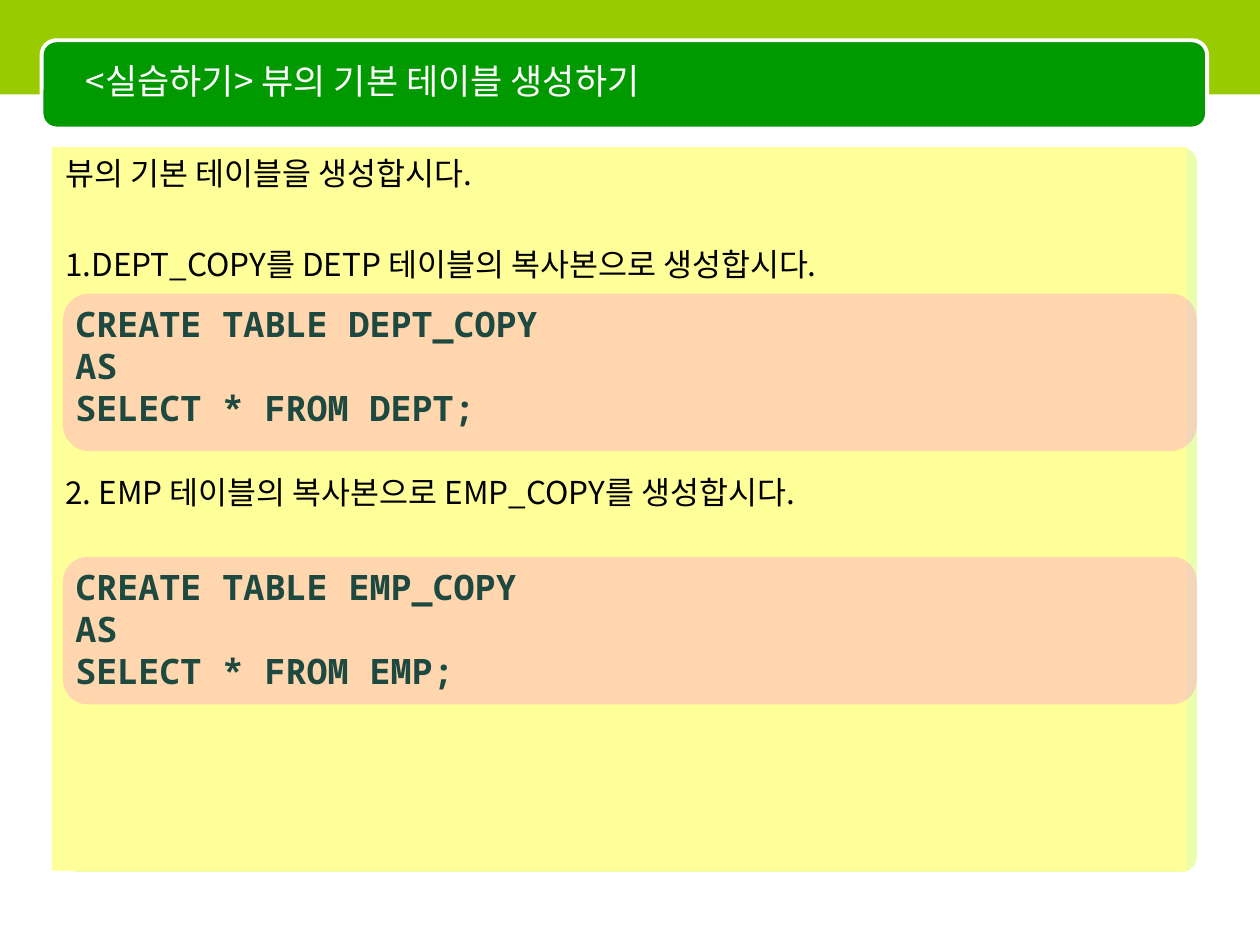
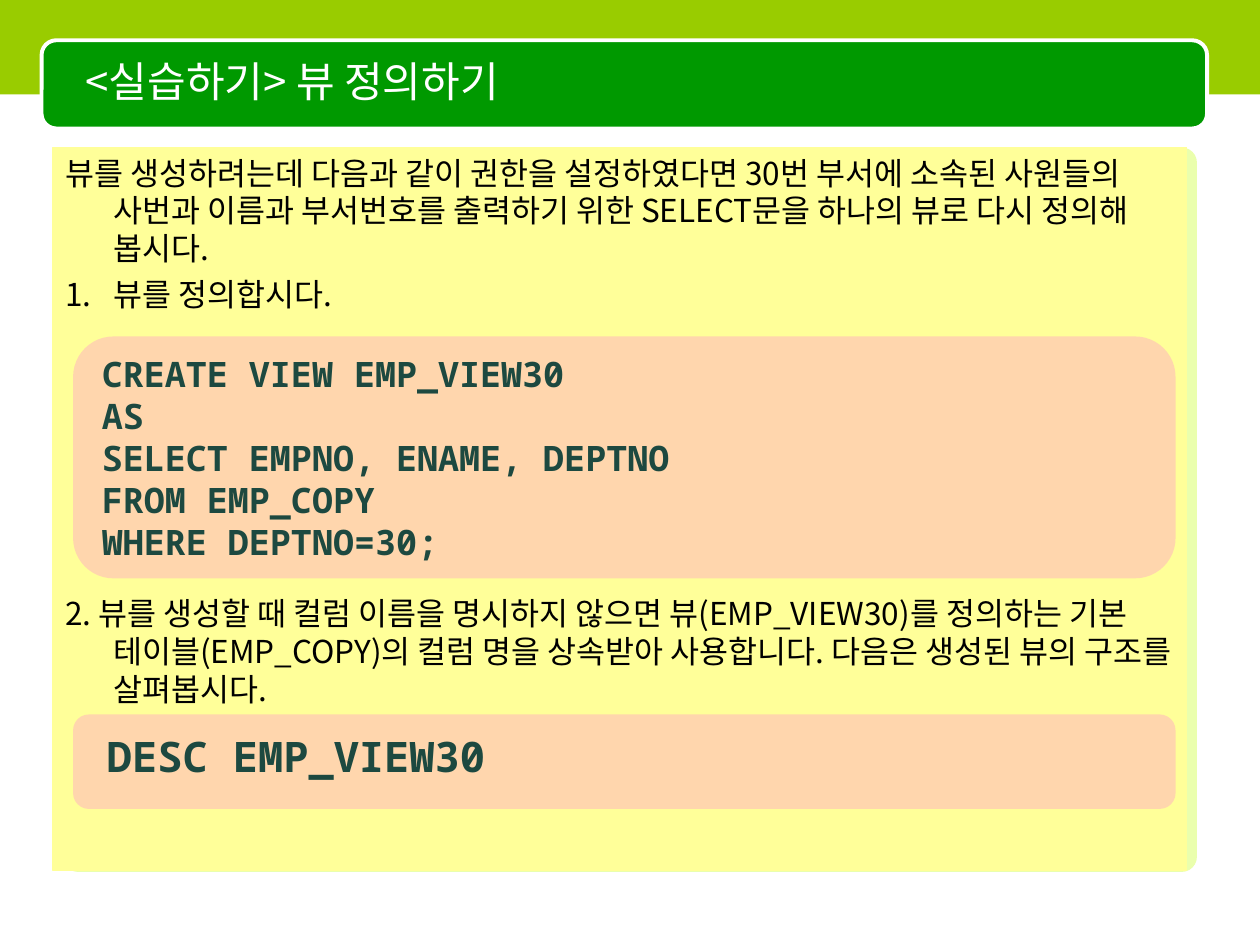
from lxml.etree import SubElement
from pptx import Presentation
from pptx.dml.color import RGBColor
from pptx.enum.shapes import MSO_SHAPE
from pptx.enum.text import MSO_ANCHOR, MSO_AUTO_SIZE, PP_ALIGN
from pptx.oxml.ns import qn
from pptx.util import Inches, Pt

WHITE = RGBColor(0xFF, 0xFF, 0xFF)
BLACK = RGBColor(0, 0, 0)
LIME = RGBColor(0x99, 0xCC, 0x00)
GREEN = RGBColor(0x00, 0x99, 0x00)
GLOW = RGBColor(0xCC, 0xFF, 0x33)
YELLOW = RGBColor(0xFF, 0xFF, 0x99)
PINK = RGBColor(0xFF, 0x99, 0xCC)
TEAL = RGBColor(0x1D, 0x49, 0x40)
SANS = "Noto Sans CJK KR"
MONO = "Noto Sans Mono"
GAP = 4.5
PITCH = 26.06
HANG = 0.38


def write(frame, text, size=18, font=SANS, color=BLACK, bold=False,
          first=True, gap=0, hang=0, number=False):
    para = frame.paragraphs[0] if first else frame.add_paragraph()
    para.alignment = PP_ALIGN.LEFT
    para.space_before = Pt(0 if first else gap)
    props = para._p.get_or_add_pPr()
    if hang:
        props.set("marL", str(Inches(hang)))
        props.set("indent", str(-Inches(hang)))
    if number:
        SubElement(props, qn("a:buAutoNum"), type="arabicPeriod")
    run = para.add_run()
    run.text = text
    run.font.size = Pt(size)
    run.font.bold = bold
    run.font.color.rgb = color
    run.font.name = font
    SubElement(run._r.get_or_add_rPr(), qn("a:ea"), typeface=font)


def block(shapes, kind, box, fill, line=None, width=0.75, alpha=None, round=None):
    shape = shapes.add_shape(kind, *map(Inches, box))
    shape.shadow.inherit = False
    shape.fill.solid()
    shape.fill.fore_color.rgb = fill
    if alpha:
        tint = shape._element.spPr.find(qn("a:solidFill"))[0]
        SubElement(tint, qn("a:alpha"), val=str(alpha * 1000))
    if line is None:
        shape.line.fill.background()
    else:
        shape.line.color.rgb = line
        shape.line.width = Pt(width)
    if round:
        shape.adjustments[0] = round
    return shape


def header(slide, text, size):
    block(slide.shapes, MSO_SHAPE.ROUNDED_RECTANGLE, (0.5, 1.17, 9, 5.75),
          GLOW, alpha=40, round=0.021)
    block(slide.shapes, MSO_SHAPE.RECTANGLE, (0, 0, 10, 0.75), LIME)
    block(slide.shapes, MSO_SHAPE.ROUNDED_RECTANGLE, (0.33, 0.32, 9.25, 0.7),
          GREEN, line=WHITE, width=2.25, round=0.167)
    title = slide.shapes.title
    title.left, title.top, title.width, title.height = map(
        Inches, (0.58, 0.33, 7.92, 0.62))
    frame = title.text_frame
    frame.auto_size = MSO_AUTO_SIZE.NONE
    frame.vertical_anchor = MSO_ANCHOR.MIDDLE
    write(frame, text, size=size, color=WHITE)
    slide.shapes._spTree.append(title._element)


def panel(slide, steps):
    shape = block(slide.shapes, MSO_SHAPE.RECTANGLE, (0.42, 1.17, 9, 5.74),
                  YELLOW, line=YELLOW)
    frame = shape.text_frame
    frame.word_wrap = True
    frame.vertical_anchor = MSO_ANCHOR.TOP
    for i, (text, skip, number) in enumerate(steps):
        write(frame, text, first=i == 0, gap=GAP + skip * PITCH,
              hang=HANG, number=number)


def code(slide, box, lines, inset, size=20):
    left, top, width, height = box
    dx, dy = inset
    group = slide.shapes.add_group_shape()
    block(group.shapes, MSO_SHAPE.ROUNDED_RECTANGLE, box, PINK,
          alpha=40, round=0.167)
    area = (left + dx, top + dy, width - 2 * dx, height - 2 * dy)
    frame = group.shapes.add_textbox(*map(Inches, area)).text_frame
    frame.word_wrap = True
    for i, line in enumerate(lines):
        write(frame, line, size=size, font=MONO, color=TEAL, bold=True, first=i == 0)


def lesson(deck, title, size, steps, codes):
    slide = deck.slides.add_slide(deck.slide_layouts[5])
    header(slide, title, size)
    panel(slide, steps)
    for item in codes:
        code(slide, **item)


def main():
    deck = Presentation()
    deck.slide_width, deck.slide_height = Inches(10), Inches(7.5)
    lesson(deck, "<실습하기> 뷰의 기본 테이블 생성하기", 20, [
        ("뷰의 기본 테이블을 생성합시다.", 0, False),
        ("1.DEPT_COPY를 DETP 테이블의 복사본으로 생성합시다.", 1, False),
        ("2. EMP 테이블의 복사본으로 EMP_COPY를 생성합시다.", 4, False),
    ], [
        dict(box=(0.5, top, 9, height), inset=(0, 0.02),
             lines=[f"CREATE TABLE {name}_COPY", "AS", f"SELECT * FROM {name};"])
        for name, top, height in (("DEPT", 2.33, 1.25), ("EMP", 4.42, 1.17))
    ])
    lesson(deck, "<실습하기> 뷰 정의하기", 24, [
        ("뷰를 생성하려는데 다음과 같이 권한을 설정하였다면 30번 부서에 소속된 "
         "사원들의 사번과 이름과 부서번호를 출력하기 위한 SELECT문을 하나의 뷰로 "
         "다시 정의해 봅시다.", 0, False),
        ("뷰를 정의합시다.", 0, True),
        ("2. 뷰를 생성할 때 컬럼 이름을 명시하지 않으면 뷰(EMP_VIEW30)를 정의하는 "
         "기본 테이블(EMP_COPY)의 컬럼 명을 상속받아 사용합니다. 다음은 생성된 "
         "뷰의 구조를 살펴봅시다.", 6, False),
    ], [
        dict(box=(0.58, 2.67, 8.75, 1.92), inset=(0.13, 0.08),
             lines=["CREATE VIEW EMP_VIEW30", "AS", "SELECT EMPNO, ENAME, DEPTNO",
                    "FROM EMP_COPY", "WHERE DEPTNO=30;"]),
        dict(box=(0.58, 5.67, 8.75, 0.75), inset=(0.17, 0.08),
             lines=["DESC EMP_VIEW30"], size=24),
    ])
    deck.save("out.pptx")


if __name__ == "__main__":
    main()
